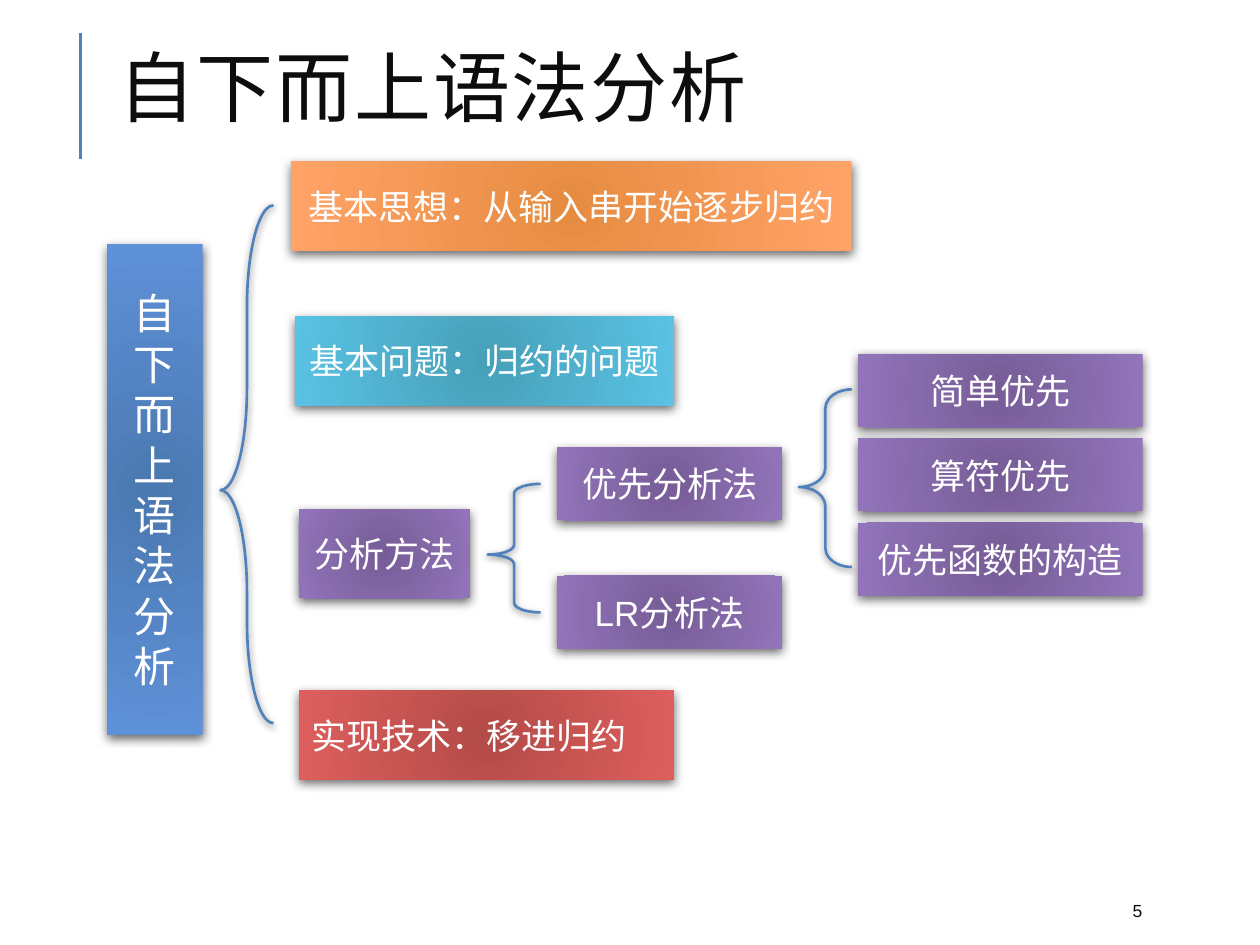
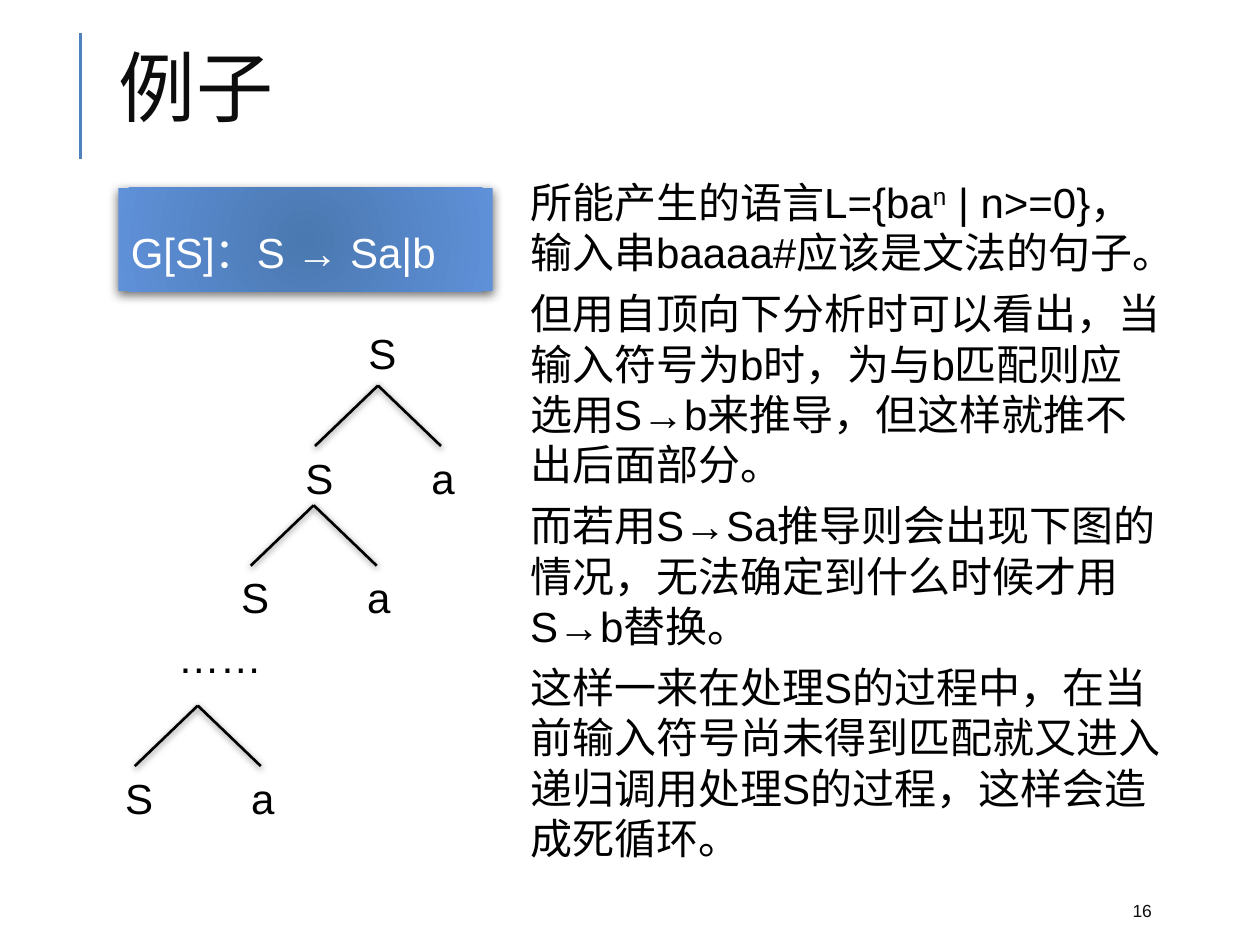
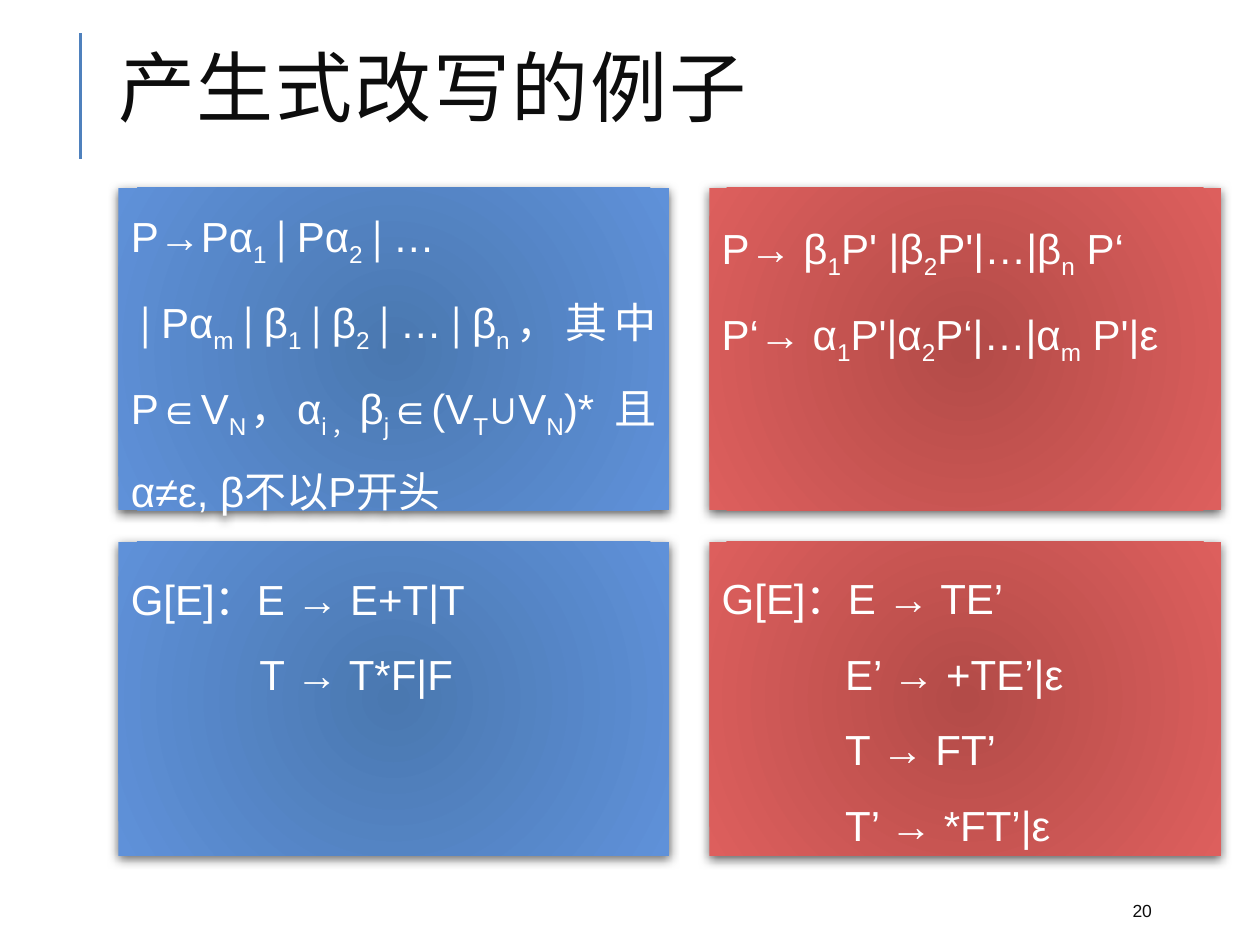
from dataclasses import dataclass
from typing import Optional

from pptx import Presentation
from pptx.dml.color import RGBColor
from pptx.enum.shapes import MSO_CONNECTOR, MSO_SHAPE
from pptx.enum.text import MSO_ANCHOR, PP_ALIGN
from pptx.oxml import parse_xml
from pptx.oxml.ns import nsdecls, qn
from pptx.util import Inches, Pt

FONT = "Arial"
WHITE = RGBColor(0xFF, 0xFF, 0xFF)
BLACK = RGBColor(0, 0, 0)
INK = RGBColor(0x0D, 0x0D, 0x0D)
ACCENT = RGBColor(0x4F, 0x81, 0xBD)
# Radial gradients, centre colour first
BLUE = (RGBColor(0x4A, 0x78, 0xB0), RGBColor(0x5F, 0x91, 0xD9))
ORANGE = (RGBColor(0xE6, 0x8C, 0x41), RGBColor(0xFF, 0xA3, 0x67))
TEAL = (RGBColor(0x46, 0xA0, 0xB8), RGBColor(0x5A, 0xC2, 0xE4))
PURPLE = (RGBColor(0x77, 0x5D, 0x97), RGBColor(0x92, 0x74, 0xBA))
RED = (RGBColor(0xB3, 0x4B, 0x48), RGBColor(0xDD, 0x5F, 0x5D))
SCRIPT_MARK = "~"  # encloses subscripts and superscripts


@dataclass
class Style:
    """Look of the text in one box."""
    size: float = 24
    color: RGBColor = WHITE
    align: Optional[PP_ALIGN] = None
    anchor: MSO_ANCHOR = MSO_ANCHOR.MIDDLE
    line_spacing: Optional[float] = None
    space_before: float = 0
    baseline: int = -25
    tracking: float = 0
    wrap: bool = True


@dataclass
class Card:
    """A gradient box with its text; indent applies after the first line."""
    left: float
    top: float
    width: float
    height: float
    colors: tuple
    lines: tuple
    style: Style
    indent: float = 0


@dataclass
class Brace:
    """A left brace and the curl of its ends."""
    left: float
    top: float
    height: float
    curl: float


@dataclass
class Fork:
    """Apex of one tree step, and the label above it."""
    x: float
    y: float
    label: str = ""


TITLE = Style(44, INK, line_spacing=0.8, tracking=1)
NUMBER = Style(10, INK)
LABEL = Style(20, align=PP_ALIGN.CENTER)
LABEL_LEFT = Style(20)
SPINE = Style(24, align=PP_ALIGN.CENTER)
RULE = Style(align=PP_ALIGN.JUSTIFY, line_spacing=1.5)
RULE_TOP = Style(align=PP_ALIGN.JUSTIFY, line_spacing=1.5, anchor=MSO_ANCHOR.TOP)
BODY = Style(color=BLACK, anchor=MSO_ANCHOR.TOP, space_before=6, baseline=30)
NODE = Style(color=BLACK, align=PP_ALIGN.CENTER, anchor=MSO_ANCHOR.TOP, wrap=False)


def write(shape, lines: tuple, style: Style, indent: float = 0) -> None:
    """Write the paragraphs and format their runs."""
    frame = shape.text_frame
    frame.word_wrap = style.wrap
    frame.vertical_anchor = style.anchor
    for row, line in enumerate(lines):
        para = frame.paragraphs[0] if row == 0 else frame.add_paragraph()
        para.alignment = style.align or PP_ALIGN.LEFT
        para.space_before = Pt(style.space_before)
        if style.line_spacing:
            para.line_spacing = style.line_spacing
        if indent and row:
            para._p.get_or_add_pPr().set("marL", str(Inches(indent)))
        for order, part in enumerate(line.split(SCRIPT_MARK)):
            span = para.add_run()
            span.text = part
            span.font.name = FONT
            span.font.size = Pt(style.size)
            span.font.color.rgb = style.color
            properties = span._r.get_or_add_rPr()
            if order % 2:
                properties.set("baseline", str(style.baseline * 1000))
            if style.tracking:
                properties.set("spc", str(int(style.tracking * 100)))


def add_text(page, left: float, top: float, width: float, height: float,
             text: str, style: Style) -> None:
    """Add a text box with one paragraph."""
    box = page.shapes.add_textbox(Inches(left), Inches(top), Inches(width), Inches(height))
    write(box, (text,), style)


def add_shadow(shape, opacity: int, blur: float, distance: float) -> None:
    """Give a shape or connector a shadow that falls straight down."""
    properties = shape._element.spPr
    effects = properties.find(qn("a:effectLst"))
    if effects is None:
        effects = parse_xml(f"<a:effectLst {nsdecls('a')}/>")
        properties.append(effects)
    effects.append(parse_xml(
        f'<a:outerShdw {nsdecls("a")} blurRad="{Pt(blur)}" dist="{Pt(distance)}" '
        f'dir="5400000" rotWithShape="0"><a:srgbClr val="000000">'
        f'<a:alpha val="{opacity * 1000}"/></a:srgbClr></a:outerShdw>'))


def add_line(page, start: tuple, end: tuple, color: RGBColor):
    """Add a straight line without a shadow of the theme."""
    line = page.shapes.add_connector(
        MSO_CONNECTOR.STRAIGHT, *(Inches(value) for value in start + end))
    line.line.color.rgb = color
    line.line.width = Pt(1.5)
    line._element.spPr.append(parse_xml(f"<a:effectLst {nsdecls('a')}/>"))
    return line


def add_plain_shape(page, kind: MSO_SHAPE, left: float, top: float,
                    width: float, height: float):
    """Add a preset shape without fill, line or shadow."""
    shape = page.shapes.add_shape(
        kind, Inches(left), Inches(top), Inches(width), Inches(height))
    shape.shadow.inherit = False
    shape.fill.background()
    shape.line.fill.background()
    return shape


def add_card(page, card: Card) -> None:
    """Draw a box with a radial gradient, a shadow and text."""
    box = add_plain_shape(page, MSO_SHAPE.RECTANGLE, card.left, card.top,
                          card.width, card.height)
    box.fill.gradient()
    for stop, color in zip(box.fill.gradient_stops, card.colors):
        stop.color.rgb = color
    gradient = box._element.spPr.find(qn("a:gradFill"))
    gradient.remove(gradient.find(qn("a:lin")))
    gradient.append(parse_xml(
        f'<a:path {nsdecls("a")} path="circle"><a:fillToRect '
        'l="100000" t="100000" r="100000" b="100000"/></a:path>'))
    add_shadow(box, 60, 6, 2)
    write(box, card.lines, card.style, card.indent)


def add_brace(page, brace: Brace) -> None:
    """Draw a left brace."""
    shape = add_plain_shape(page, MSO_SHAPE.LEFT_BRACE, brace.left, brace.top,
                            0.42, brace.height)
    shape.adjustments[0] = brace.curl
    shape.adjustments[1] = 0.55
    shape.line.color.rgb = ACCENT
    shape.line.width = Pt(1.5)
    add_shadow(shape, 50, 4, 1)


def add_fork(page, fork: Fork) -> None:
    """Draw one step of the derivation tree: S above S and a."""
    arm, drop, width, height = 0.5, 0.48, 0.35, 0.5
    if fork.label:
        add_text(page, fork.x - width / 2, fork.y - 0.51, width, height, fork.label, NODE)
    for side, label in ((-arm, "S"), (arm, "a")):
        x, y = fork.x + side, fork.y + drop
        branch = add_line(page, (x, y), (fork.x, fork.y), BLACK)
        add_shadow(branch, 50, 4, 1)
        add_text(page, x - width / 2, y, width, height, label, NODE)


def add_page(deck, title: str, number: int):
    """Add a page with the accent line, number and title."""
    page = deck.slides.add_slide(deck.slide_layouts[6])
    add_line(page, (0.64, 1.26), (0.64, 0.26), ACCENT)
    add_text(page, 8.89, 7.08, 0.8, 0.3, str(number), NUMBER)
    add_text(page, 0.84, 0.26, 8.5, 0.98, title, TITLE)
    return page


def build_overview(deck) -> None:
    """Build the map of bottom-up parsing."""
    page = add_page(deck, "自下而上语法分析", 5)
    cards = [
        Card(0.85, 1.94, 0.76, 3.89, BLUE, ("自下而上语法分析",), SPINE),
        Card(2.31, 1.28, 4.45, 0.71, ORANGE, ("基本思想：从输入串开始逐步归约",), LABEL),
        Card(2.34, 2.51, 3.01, 0.71, TEAL, ("基本问题：归约的问题",), LABEL),
        Card(2.37, 4.04, 1.36, 0.71, PURPLE, ("分析方法",), LABEL),
        Card(2.37, 5.48, 2.98, 0.71, RED, ("实现技术：移进归约",), LABEL_LEFT),
    ]
    for row, text in enumerate(("优先分析法", "LR分析法")):
        cards.append(Card(4.42, 3.55 + 1.02 * row, 1.79, 0.58, PURPLE, (text,), LABEL))
    for row, text in enumerate(("简单优先", "算符优先", "优先函数的构造")):
        cards.append(Card(6.81, 2.81 + 0.67 * row, 2.26, 0.58, PURPLE, (text,), LABEL))
    for card in cards:
        add_card(page, card)
    for brace in (Brace(1.75, 1.63, 4.11, 1.925), Brace(6.34, 3.09, 1.41, 0.36),
                  Brace(3.87, 3.84, 1.02, 0.18)):
        add_brace(page, brace)


def build_example(deck) -> None:
    """Build the left recursion example with its tree."""
    page = add_page(deck, "例子", 16)
    add_card(page, Card(0.94, 1.49, 2.97, 0.82, BLUE, ("G[S]：S → Sa|b",), RULE))
    body = add_plain_shape(page, MSO_SHAPE.RECTANGLE, 4.11, 1.35, 5.23, 5.62)
    body.fill.solid()
    body.fill.fore_color.rgb = WHITE
    write(body, (
        "所能产生的语言L={ba~n~ | n>=0}，输入串baaaa#应该是文法的句子。",
        "但用自顶向下分析时可以看出，当输入符号为b时，为与b匹配则应选用S→b来推导，"
        "但这样就推不出后面部分。",
        "而若用S→Sa推导则会出现下图的情况，无法确定到什么时候才用S→b替换。",
        "这样一来在处理S的过程中，在当前输入符号尚未得到匹配就又进入递归调用处理S的过程，"
        "这样会造成死循环。",
    ), BODY)
    for fork in (Fork(3, 3.06, "S"), Fork(2.49, 4.01), Fork(1.57, 5.6)):
        add_fork(page, fork)
    add_text(page, 1.25, 4.96, 0.99, 0.5, "……", NODE)


def build_rewriting(deck) -> None:
    """Build the two by two grid of productions and their rewriting."""
    page = add_page(deck, "产生式改写的例子", 20)
    left, right = (0.94, 4.37), (5.63, 4.06)
    upper, lower = (1.49, 2.56), (4.3, 2.49)
    cells = (
        (left, upper, BLUE, RULE, 0, (
            "P→Pα~1~∣Pα~2~∣…∣Pα~m~∣β~1~∣β~2~∣…∣β~n~，其中P∈V~N~，α~i，~β~j~"
            "∈(V~T~∪V~N~)* 且α≠ε, β不以P开头",)),
        (right, upper, RED, RULE_TOP, 0, (
            "P→ β~1~P' |β~2~P'|…|β~n~ P‘",
            "P‘→ α~1~P'|α~2~P‘|…|α~m~ P'|ε")),
        (left, lower, BLUE, RULE_TOP, 1.02, ("G[E]：E → E+T|T", "T → T*F|F")),
        (right, lower, RED, RULE, 0.98, (
            "G[E]：E → TE’", "E’ → +TE’|ε", "T → FT’", "T’ → *FT’|ε")),
    )
    for (x, width), (y, height), colors, style, indent, lines in cells:
        add_card(page, Card(x, y, width, height, colors, lines, style, indent))


def main() -> None:
    """Build and save the deck."""
    deck = Presentation()
    deck.slide_width, deck.slide_height = Inches(10), Inches(7.5)
    build_overview(deck)
    build_example(deck)
    build_rewriting(deck)
    deck.save("out.pptx")


main()
